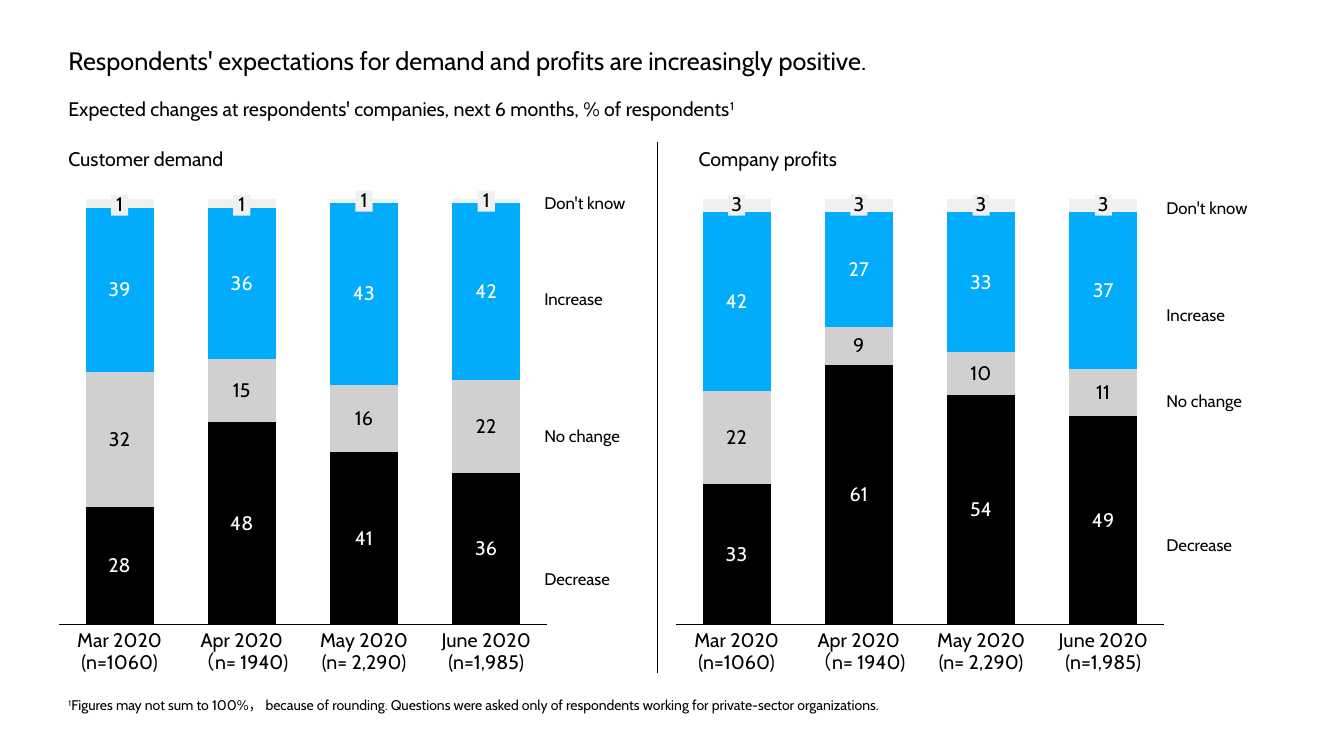
from dataclasses import dataclass

import pptx
import pptx.chart.data
import pptx.dml.color
import pptx.enum.chart
import pptx.enum.shapes
import pptx.enum.text
import pptx.oxml
import pptx.oxml.ns
import pptx.util
from lxml import etree

Inches = pptx.util.Inches
Pt = pptx.util.Pt


@dataclass(frozen=True)
class Theme:
    font: str = "Cabin"
    chart_font: str = "Noto Sans CJK SC"
    black: str = "000000"
    white: str = "FFFFFF"
    grey: str = "D0D0D0"
    blue: str = "00ACFB"
    pale: str = "F0F0F0"
    title: int = 18
    body: int = 14
    legend: int = 12
    small: int = 10


def rgb(value):
    return pptx.dml.color.RGBColor.from_string(value)


PLOT = {"x": 0.018, "y": 0.069, "w": 0.964, "h": 0.863}
CHART_TOP, CHART_WIDTH, CHART_HEIGHT = 1.64, 5.03, 4.89
CATEGORIES = [
    ("Mar 2020\n(n=1060)", 0.86),
    ("Apr 2020\n（n= 1940)", 1),
    ("May 2020\n(n= 2,290)", 0.92),
    ("June 2020\n(n=1,985)", 0.93),
]
LEGEND = [("Don't know", 1.08), ("Increase", 0.84), ("No change", 1.08), ("Decrease", 0.95)]
PANELS = [
    dict(title="Customer demand", title_left=0.58, left=0.49, maximum=101,
         values=[[28, 48, 41, 36], [32, 15, 16, 22], [39, 36, 43, 42], [2] * 4],
         badge="1", badge_tops=[1.93, 1.93, 1.89, 1.89],
         legend_left=5.3, legend_tops=[1.86, 2.82, 4.17, 5.59]),
    dict(title="Company profits", title_left=6.83, left=6.61, maximum=100,
         values=[[33, 61, 54, 49], [22, 9, 10, 11], [42, 27, 33, 37], [5] * 4],
         badge="3", badge_tops=[1.93] * 4,
         legend_left=11.47, legend_tops=[1.91, 2.97, 3.83, 5.26]),
]


class Deck:
    def __init__(self, s, theme):
        self.s = s
        self.theme = theme

    def style(self, p, size):
        for r in p.runs:
            r.font.name = self.theme.font
            r.font.size = Pt(size)
            r.font.color.rgb = rgb(self.theme.black)

    def superscript(self, r):
        r._r.get_or_add_rPr().set("baseline", "30000")

    def text(self, left, top, width, height, text, size, wrap=True):
        sp = self.s.shapes.add_textbox(Inches(left), Inches(top), Inches(width), Inches(height))
        tf = sp.text_frame
        tf.word_wrap = wrap
        tf.auto_size = pptx.enum.text.MSO_AUTO_SIZE.SHAPE_TO_FIT_TEXT
        p = tf.paragraphs[0]
        p.text = text
        self.style(p, size)
        return p

    def centred(self, sp, text, side=0):
        tf = sp.text_frame
        tf.word_wrap = False
        tf.margin_left = tf.margin_right = Inches(side)
        tf.margin_top = tf.margin_bottom = 0
        p = tf.paragraphs[0]
        p.text = text
        p.alignment = pptx.enum.text.PP_ALIGN.CENTER
        p.line_spacing = 0.9
        self.style(p, self.theme.body)

    def category(self, centre, text, width):
        sp = self.s.shapes.add_textbox(
            Inches(centre - width / 2), Inches(6.26), Inches(width), Inches(0.42))
        self.centred(sp, text)

    def badge(self, centre, top, text):
        width = 0.17
        sp = self.s.shapes.add_shape(
            pptx.enum.shapes.MSO_SHAPE.RECTANGLE,
            Inches(centre - width / 2), Inches(top), Inches(width), Inches(0.21))
        sp.shadow.inherit = False
        sp.fill.solid()
        sp.fill.fore_color.rgb = rgb(self.theme.pale)
        sp.line.fill.background()
        sp.text_frame.vertical_anchor = pptx.enum.text.MSO_ANCHOR.MIDDLE
        self.centred(sp, text, 0.03)

    def line(self, x1, y1, x2, y2):
        cn = self.s.shapes.add_connector(
            pptx.enum.shapes.MSO_CONNECTOR.STRAIGHT,
            Inches(x1), Inches(y1), Inches(x2), Inches(y2))
        cn.line.color.rgb = rgb(self.theme.black)
        cn.line.width = Pt(1)
        etree.SubElement(cn._element.spPr, pptx.oxml.ns.qn("a:effectLst"))

    def chart(self, left, values, maximum):
        t = self.theme
        data = pptx.chart.data.CategoryChartData()
        data.categories = ["1", "2", "3", "4"]
        for i, row in enumerate(values, 1):
            data.add_series(f"Series {i}", row)
        chart = self.s.shapes.add_chart(
            pptx.enum.chart.XL_CHART_TYPE.COLUMN_STACKED, Inches(left), Inches(CHART_TOP),
            Inches(CHART_WIDTH), Inches(CHART_HEIGHT), data).chart
        chart.has_legend = chart.has_title = False
        chart.font.name = t.chart_font
        chart.font.size = Pt(t.small)
        chart.font.color.rgb = rgb(t.black)

        none = pptx.enum.chart.XL_TICK_MARK.NONE
        axis = chart.category_axis
        axis.tick_label_position = pptx.enum.chart.XL_TICK_LABEL_POSITION.NONE
        axis.major_tick_mark = axis.minor_tick_mark = none
        axis.format.line.color.rgb = rgb(t.black)
        axis.format.line.width = Pt(0.75)
        axis = chart.value_axis
        axis.visible = axis.has_major_gridlines = False
        axis.minimum_scale, axis.maximum_scale = 0, maximum

        plot = chart.plots[0]
        plot.gap_width, plot.overlap = 80, 100
        plot.vary_by_categories = False
        colours = [(t.black, t.white), (t.grey, t.black), (t.blue, t.white), (t.pale, None)]
        for series, (fill, label) in zip(plot.series, colours):
            series.format.fill.solid()
            series.format.fill.fore_color.rgb = rgb(fill)
            if label:
                labels = series.data_labels
                labels.show_value = True
                labels.font.name = t.font
                labels.font.size = Pt(t.body)
                labels.font.color.rgb = rgb(label)
        self.place_plot(chart)

    def place_plot(self, chart):
        area = chart._chartSpace.chart.plotArea
        for old in area.findall(pptx.oxml.ns.qn("c:layout")):
            area.remove(old)
        sizes = "".join(f'<c:{key} val="{value}"/>' for key, value in PLOT.items())
        area.insert(0, pptx.oxml.parse_xml(
            f'<c:layout {pptx.oxml.ns.nsdecls("c")}><c:manualLayout>'
            '<c:layoutTarget val="inner"/><c:xMode val="edge"/><c:yMode val="edge"/>'
            f'{sizes}</c:manualLayout></c:layout>'))

    def panel(self, title, title_left, left, maximum, values, badge, badge_tops,
              legend_left, legend_tops):
        self.text(title_left, 1.41, 2.04, 0.34, title, self.theme.body)
        self.chart(left, values, maximum)
        pitch = CHART_WIDTH * PLOT["w"] / len(CATEGORIES)
        for i, (text, width) in enumerate(CATEGORIES):
            centre = left + CHART_WIDTH * PLOT["x"] + pitch * (i + 0.5)
            self.category(centre, text, width)
            self.badge(centre, badge_tops[i], badge)
        for (text, width), top in zip(LEGEND, legend_tops):
            self.text(legend_left, top, width, 0.3, text, self.theme.legend, wrap=False)


def main():
    prs = pptx.Presentation()
    prs.slide_width, prs.slide_height = Inches(13.33), Inches(7.5)
    theme = Theme()
    deck = Deck(prs.slides.add_slide(prs.slide_layouts[6]), theme)
    deck.text(0.58, 0.4, 10.42, 0.4,
              "Respondents' expectations for demand and profits are increasingly positive.",
              theme.title)
    p = deck.text(0.58, 0.91, 10.1, 0.34,
                  "Expected changes at respondents' companies, next 6 months, % of respondents",
                  theme.body)
    r = p.add_run()
    r.text = "1"
    deck.style(p, theme.body)
    deck.superscript(r)
    for panel in PANELS:
        deck.panel(**panel)
    deck.line(6.52, 1.41, 6.52, 6.68)
    p = deck.text(0.58, 6.86, 8.92, 0.27, "1", theme.small, wrap=False)
    deck.superscript(p.runs[0])
    r = p.add_run()
    r.text = ("Figures may not sum to 100%， because of rounding. Questions were asked only of "
              "respondents working for private-sector organizations.")
    deck.style(p, theme.small)
    prs.save("out.pptx")


if __name__ == "__main__":
    main()
